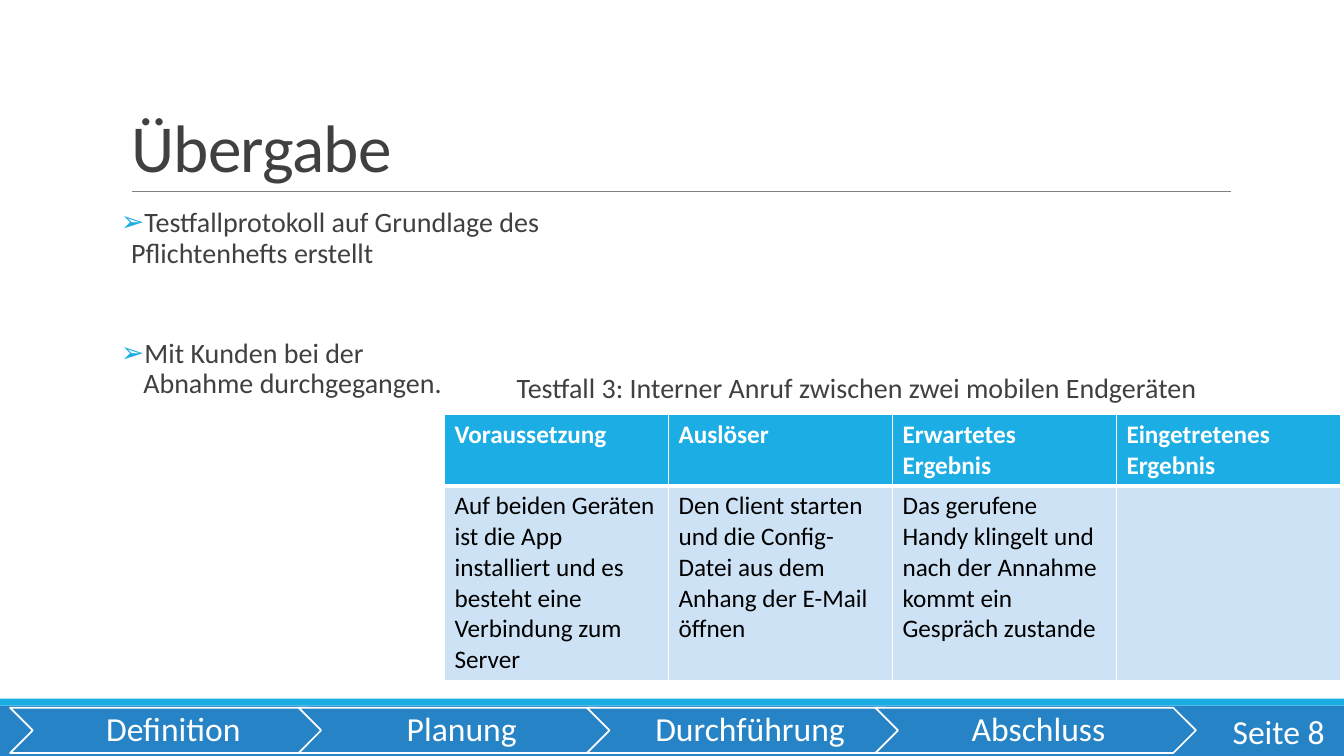
from lxml import etree
from pptx import Presentation
from pptx.dml.color import RGBColor
from pptx.enum import shapes, text
from pptx.oxml import ns
from pptx.util import Pt

COLORS = {
    "white": "FFFFFF", "black": "000000", "dark": "404040", "rule": "808080",
    "cyan": "1CADE4", "blue": "2683C6", "pale": "CDE3F5",
}
FONT = "Calibri"
STEPS = ["Definition", "Planung", "Durchführung", "Abschluss"]
TEST_CASE = [
    ["Voraussetzung", "Auslöser", "Erwartetes Ergebnis", "Eingetretenes Ergebnis"],
    ["Auf beiden Geräten ist die App installiert und es besteht eine Verbindung zum Server",
     "Den Client starten und die Config-Datei aus dem Anhang der E-Mail öffnen",
     "Das gerufene Handy klingelt und nach der Annahme kommt ein Gespräch zustande",
     ""],
]


def rgb(name):
    return RGBColor.from_string(COLORS[name])


def add_xml(parent, tag, **attrs):
    return etree.SubElement(parent, ns.qn(tag), attrs)


def style(p, size, color, bold=False):
    for font in [p.font] + [r.font for r in p.runs]:
        font.name, font.size, font.bold = FONT, Pt(size), bold
        font.color.rgb = rgb(color)


def place(sp, left, top, width, height):
    sp.left, sp.top, sp.width, sp.height = Pt(left), Pt(top), Pt(width), Pt(height)


def set_insets(tf, left, top, right, bottom):
    tf.margin_left, tf.margin_top = Pt(left), Pt(top)
    tf.margin_right, tf.margin_bottom = Pt(right), Pt(bottom)


def add_block(s, kind, left, top, width, height, fill, line=None):
    sp = s.shapes.add_shape(kind, Pt(left), Pt(top), Pt(width), Pt(height))
    sp.shadow.inherit = False
    sp.fill.solid()
    sp.fill.fore_color.rgb = rgb(fill)
    if line:
        sp.line.color.rgb = rgb(line)
        sp.line.width = Pt(1.25)
    else:
        sp.line.fill.background()
    return sp


def add_title(s, title):
    sp = s.shapes.title
    place(sp, 86.4, 22.3, 792, 114.5)
    tf = sp.text_frame
    tf.text = title
    tf.auto_size = text.MSO_AUTO_SIZE.NONE
    tf.vertical_anchor = text.MSO_ANCHOR.BOTTOM
    p = tf.paragraphs[0]
    p.alignment, p.line_spacing = text.PP_ALIGN.LEFT, 0.85
    style(p, 48, "dark")
    p.runs[0].font._element.set("spc", "-50")


def add_rule(s):
    line = s.shapes.add_connector(
        shapes.MSO_CONNECTOR.STRAIGHT, Pt(94.3), Pt(136.8), Pt(879), Pt(136.8))
    line.line.color.rgb = rgb("rule")
    line.line.width = Pt(0.5)
    add_xml(line._element.spPr, "a:effectLst")


def fill_body(sp, box, items, bullet=None):
    """Each item is (text, hanging indent, space before)."""
    place(sp, *box)
    tf = sp.text_frame
    tf.text = "\n".join(item[0] for item in items)
    tf.auto_size = text.MSO_AUTO_SIZE.NONE
    set_insets(tf, 0, 3.6, 0, 3.6)
    for p, (_, indent, before) in zip(tf.paragraphs, items):
        p.line_spacing = 0.9
        p.space_before, p.space_after = Pt(before), Pt(2)
        style(p, 20, "dark")
        pPr = p._p.get_or_add_pPr()
        pPr.set("marL", str(Pt(indent)))
        pPr.set("indent", str(-Pt(indent)))
        if bullet:
            add_xml(add_xml(pPr, "a:buClr"), "a:srgbClr", val=COLORS["cyan"])
            add_xml(pPr, "a:buChar", char=bullet)
        else:
            add_xml(pPr, "a:buNone")


def set_borders(cell, bottom):
    tcPr = cell._tc.get_or_add_tcPr()
    for side, width in (("L", 1), ("R", 1), ("T", 1), ("B", bottom)):
        ln = add_xml(tcPr, "a:ln" + side, w=str(Pt(width)))
        add_xml(add_xml(ln, "a:solidFill"), "a:srgbClr", val=COLORS["white"])


def add_test_table(s):
    table = s.shapes.add_table(
        2, 4, Pt(317.5), Pt(296), Pt(640), Pt(190)).table
    for row, height in zip(table.rows, (51, 139)):
        row.height = Pt(height)
    for r, values in enumerate(TEST_CASE):
        header = r == 0
        for c, value in enumerate(values):
            cell = table.cell(r, c)
            cell.text = value
            style(cell.text_frame.paragraphs[0], 18,
                  "white" if header else "black", bold=header)
            set_borders(cell, 3 if header else 1)
            cell.fill.solid()
            cell.fill.fore_color.rgb = rgb("cyan" if header else "pale")


def add_step(s, left, label):
    sp = add_block(s, shapes.MSO_SHAPE.CHEVRON, left, 505.5, 229, 32.4, "blue", "white")
    tf = sp.text_frame
    tf.text = label
    tf.word_wrap = False
    tf.vertical_anchor = text.MSO_ANCHOR.MIDDLE
    set_insets(tf, 7.2, 2.9, 2.9, 2.9)
    p = tf.paragraphs[0]
    p.alignment, p.line_spacing = text.PP_ALIGN.CENTER, 0.9
    style(p, 24, "white")


def add_page_label(s, label):
    tf = s.shapes.add_textbox(Pt(850.3), Pt(507.6), Pt(103), Pt(28.8)).text_frame
    tf.text = label
    tf.word_wrap = True
    tf.vertical_anchor = text.MSO_ANCHOR.MIDDLE
    tf.paragraphs[0].alignment = text.PP_ALIGN.RIGHT
    style(tf.paragraphs[0], 24, "white")


def main():
    prs = Presentation()
    prs.slide_width, prs.slide_height = Pt(960), Pt(540)
    s = prs.slides.add_slide(prs.slide_layouts.get_by_name("Two Content"))
    _, points, caption = s.placeholders

    add_block(s, shapes.MSO_SHAPE.RECTANGLE, 0, 504, 960, 36, "blue")
    add_block(s, shapes.MSO_SHAPE.RECTANGLE, 0, 499, 960, 5, "cyan")
    add_title(s, "Übergabe")
    add_rule(s)
    for i, label in enumerate(STEPS):
        add_step(s, 7.2 + 206 * i, label)
    add_page_label(s, "Seite 8")

    fill_body(points, (86.4, 145.4, 388.8, 316.8), [
        ("Testfallprotokoll auf Grundlage des Pflichtenhefts erstellt", 7.2, 12),
        ("Mit Kunden bei der\vAbnahme durchgegangen.", 16, 48),
    ], "➢")
    fill_body(caption, (369, 264, 510, 30), [
        ("Testfall 3: Interner Anruf zwischen zwei mobilen Endgeräten", 0, 0),
    ])
    add_test_table(s)
    prs.save("out.pptx")


if __name__ == "__main__":
    main()
